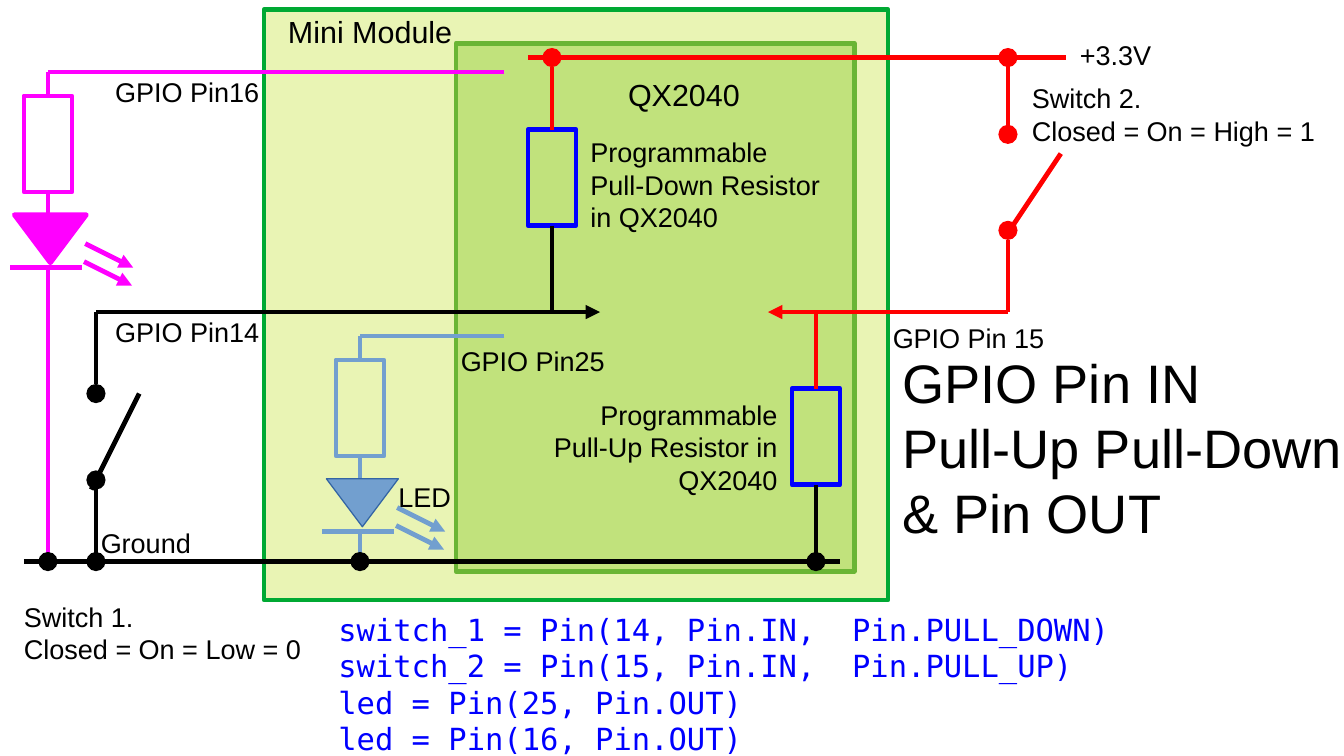
from dataclasses import dataclass
from typing import Optional

import lxml.etree
import pptx
import pptx.dml.color
import pptx.enum.shapes
import pptx.enum.text
import pptx.oxml.ns
import pptx.util

COLUMNS, ROWS = 56, 31.5
CELL_CM = 0.5
STROKE = 2.83
COLOURS = {
    "black": "000000", "red": "FF0000", "blue": "0000FF", "magenta": "FF00FF",
    "steel": "729FCF", "steel edge": "3465A4",
    "chip": "5EB91E", "chip edge": "008000",
    "module": "D4EA6B", "module edge": "00A933",
}
SUPPLY, SIGNAL, GROUND = 2.4, 13, 23.4  # rows of the main horizontal wires
SHAPES = pptx.enum.shapes.MSO_SHAPE
ALIGN = pptx.enum.text.PP_ALIGN
ANCHOR = pptx.enum.text.MSO_ANCHOR
qn = pptx.oxml.ns.qn


@dataclass
class Wire:
    x1: float
    y1: float
    x2: float
    y2: float
    colour: str
    arrow: bool = False


@dataclass
class Dot:
    x: float
    y: float
    colour: str


@dataclass
class Resistor:
    x: float
    top: float
    upper_end: float
    lower_end: float
    colour: str
    upper_colour: str
    lower_colour: str


@dataclass
class LedBranch:
    x: float
    top: float
    colour: str
    edge: str
    edge_width: float


@dataclass
class Label:
    x: float
    y: float
    width: float
    height: float
    text: str
    size: int = 16
    colour: str = "black"
    font: str = "Arial"
    align: ALIGN = ALIGN.LEFT
    anchor: ANCHOR = ANCHOR.TOP


WIRES = [
    Wire(22, SUPPLY, 44.4, SUPPLY, "red"),
    Wire(42, 5.4, 42, SUPPLY, "red"),
    Wire(42.2, 9.4, 44.2, 6.4, "red"),
    Wire(42, SIGNAL, 42, 10, "red"),
    Wire(42, SIGNAL, 32, SIGNAL, "red", True),
    Wire(1, GROUND, 35, GROUND, "black"),
    Wire(4, SIGNAL, 25, SIGNAL, "black", True),
    Wire(4, 16, 4, SIGNAL, "black"),
    Wire(4, GROUND, 4, 20, "black"),
    Wire(3.8, 20.4, 5.8, 16.4, "black"),
    Wire(21, 14, 15, 14, "steel"),
    Wire(21, 3, 2, 3, "magenta"),
]
RESISTORS = [
    Resistor(23, 5.4, 2.8, SIGNAL, "blue", "red", "black"),
    Resistor(34, 16.2, SIGNAL, 23.2, "blue", "red", "black"),
]
LED_BRANCHES = [
    LedBranch(15, 14, "steel", "steel edge", 0),
    LedBranch(2, 3, "magenta", "magenta", STROKE),
]
DOTS = [
    *(Dot(x, SUPPLY, "red") for x in (23, 42)),
    *(Dot(42, y, "red") for y in (5.6, 9.6)),
    *(Dot(4, y, "black") for y in (16.4, 20)),
    *(Dot(x, GROUND, "black") for x in (2, 4, 15, 34)),
]
CODE = """switch_1 = Pin(14, Pin.IN,  Pin.PULL_DOWN)
switch_2 = Pin(15, Pin.IN,  Pin.PULL_UP)
led = Pin(25, Pin.OUT)
led = Pin(16, Pin.OUT)"""
LABELS = [
    Label(37.6, 14.8, 19, 7.6, "GPIO Pin IN\nPull-Up Pull-Down\n& Pin OUT", 32,
          anchor=ANCHOR.MIDDLE),
    Label(45, 1.6, 10, 2.8, "+3.3V"),
    Label(24.6, 5.65, 10, 3.75, "Programmable\nPull-Down Resistor in QX2040"),
    Label(22.4, 16.6, 10, 3.75, "Programmable\nPull-Up Resistor in QX2040",
          align=ALIGN.RIGHT),
    Label(4.2, 21.95, 10, 1.25, "Ground"),
    Label(4.8, 3.15, 7, 1.25, "GPIO Pin16"),
    Label(4.8, 13.15, 7, 1.25, "GPIO Pin14"),
    Label(37.2, 13.4, 8, 1.25, "GPIO Pin 15"),
    Label(19.2, 14.35, 7, 1.25, "GPIO Pin25"),
    Label(16.6, 20, 2.8, 1.25, "LED"),
    Label(1, 25, 12, 3, "Switch 1.\nClosed = On = Low = 0"),
    Label(43, 3.4, 12, 3, "Switch 2.\nClosed = On = High = 1"),
    Label(12, 0.55, 8, 1.4, "Mini Module", 18),
    Label(25, 3.15, 7, 1.4, "QX2040", 18, align=ALIGN.CENTER),
    Label(14.1, 25.45, 33.4, 5.9, CODE, 18, "blue", "DejaVu Sans Mono"),
]


def grid(cells: float) -> pptx.util.Length:
    return pptx.util.Cm(cells * CELL_CM)


def rgb(colour: str) -> pptx.dml.color.RGBColor:
    return pptx.dml.color.RGBColor.from_string(COLOURS[colour])


def add_outline(page, kind: SHAPES, x: float, y: float, width: float, height: float,
                fill: Optional[str] = None, edge: Optional[str] = None,
                edge_width: float = STROKE):
    shape = page.shapes.add_shape(kind, grid(x), grid(y), grid(width), grid(height))
    shape.shadow.inherit = False
    if fill:
        shape.fill.solid()
        shape.fill.fore_color.rgb = rgb(fill)
    else:
        shape.fill.background()
    if edge:
        shape.line.color.rgb = rgb(edge)
        shape.line.width = pptx.util.Pt(edge_width)
    else:
        shape.line.fill.background()
    return shape


def add_board(page, x: float, y: float, width: float, height: float, name: str) -> None:
    board = add_outline(page, SHAPES.RECTANGLE, x, y, width, height, name, f"{name} edge")
    colour = board.element.spPr.find(qn("a:solidFill"))[0]
    lxml.etree.SubElement(colour, qn("a:alpha"), val="50000")


def add_wire(page, wire: Wire):
    line = page.shapes.add_connector(
        pptx.enum.shapes.MSO_CONNECTOR.STRAIGHT,
        grid(wire.x1), grid(wire.y1), grid(wire.x2), grid(wire.y2))
    line.line.color.rgb = rgb(wire.colour)
    line.line.width = pptx.util.Pt(STROKE)
    properties = line.element.spPr
    if wire.arrow:
        lxml.etree.SubElement(properties.find(qn("a:ln")), qn("a:tailEnd"), type="triangle")
    lxml.etree.SubElement(properties, qn("a:effectLst"))
    return line


def add_resistor(page, part: Resistor) -> None:
    body = add_outline(page, SHAPES.RECTANGLE, part.x - 1, part.top, 2, 4, edge=part.colour)
    bottom = part.top + 4
    upper = Wire(part.x, part.top, part.x, part.upper_end, part.upper_colour)
    lower = Wire(part.x, bottom, part.x, part.lower_end, part.lower_colour)
    add_wire(page, upper).begin_connect(body, 0)
    add_wire(page, lower).begin_connect(body, 2)


def add_led_branch(page, led: LedBranch) -> None:
    x, top, colour = led.x, led.top, led.colour
    add_resistor(page, Resistor(x, top + 1, top, top + 6, colour, colour, colour))
    diode = add_outline(page, SHAPES.DOWN_ARROW, x - 1.4, top + 5.95, 3, 2,
                        colour, led.edge, led.edge_width)
    diode.adjustments[0], diode.adjustments[1] = 0, 1
    bar = top + 8.15
    add_wire(page, Wire(x + 1.4, bar, x - 1.6, bar, colour))
    add_wire(page, Wire(x, bar, x, GROUND, colour))
    for ray_x, ray_y in ((x + 1.55, top + 7.15), (x + 1.5, top + 7.9)):
        add_wire(page, Wire(ray_x, ray_y, ray_x + 2, ray_y + 1, colour, True))


def add_label(page, label: Label) -> None:
    box = page.shapes.add_textbox(grid(label.x), grid(label.y),
                                  grid(label.width), grid(label.height))
    frame = box.text_frame
    frame.word_wrap = True
    frame.vertical_anchor = label.anchor
    frame.margin_left = frame.margin_right = frame.margin_top = frame.margin_bottom = 0
    frame.text = label.text
    for para in frame.paragraphs:
        para.alignment = label.align
        for span in para.runs:
            span.font.name = label.font
            span.font.size = pptx.util.Pt(label.size)
            span.font.color.rgb = rgb(label.colour)


def main() -> None:
    deck = pptx.Presentation()
    deck.slide_width, deck.slide_height = grid(COLUMNS), grid(ROWS)
    page = deck.slides.add_slide(deck.slide_layouts[6])

    # Chip, seen through the translucent module
    add_board(page, 19, 1.8, 16.6, 22, "chip")
    add_board(page, 11, 0.4, 26, 24.6, "module")

    # Circuit
    for wire in WIRES:
        add_wire(page, wire)
    for resistor in RESISTORS:
        add_resistor(page, resistor)
    for led in LED_BRANCHES:
        add_led_branch(page, led)
    for dot in DOTS:
        add_outline(page, SHAPES.OVAL, dot.x - 0.4, dot.y - 0.4, 0.8, 0.8, dot.colour)

    # Title, labels and code
    for label in LABELS:
        add_label(page, label)

    deck.save("out.pptx")


if __name__ == "__main__":
    main()
